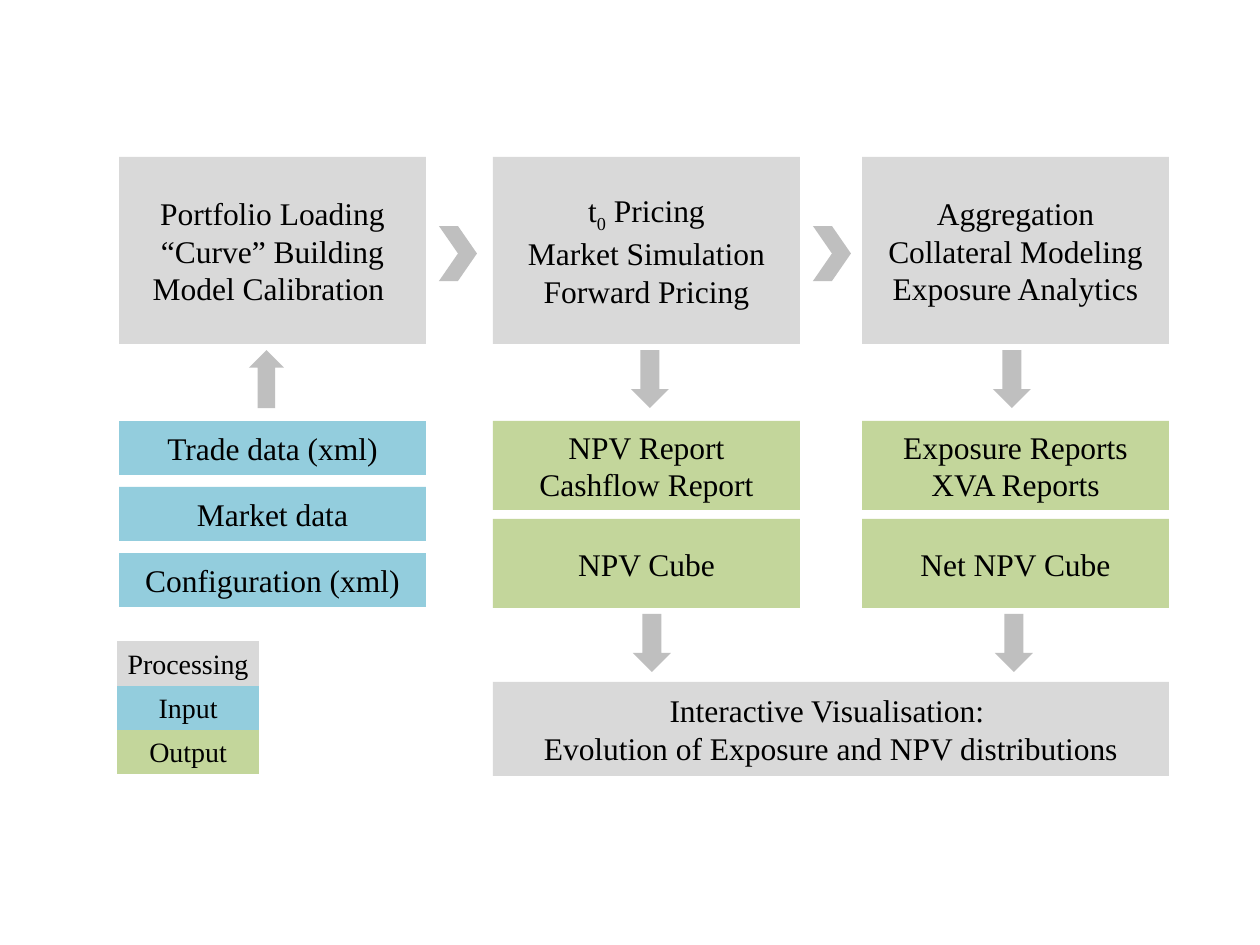
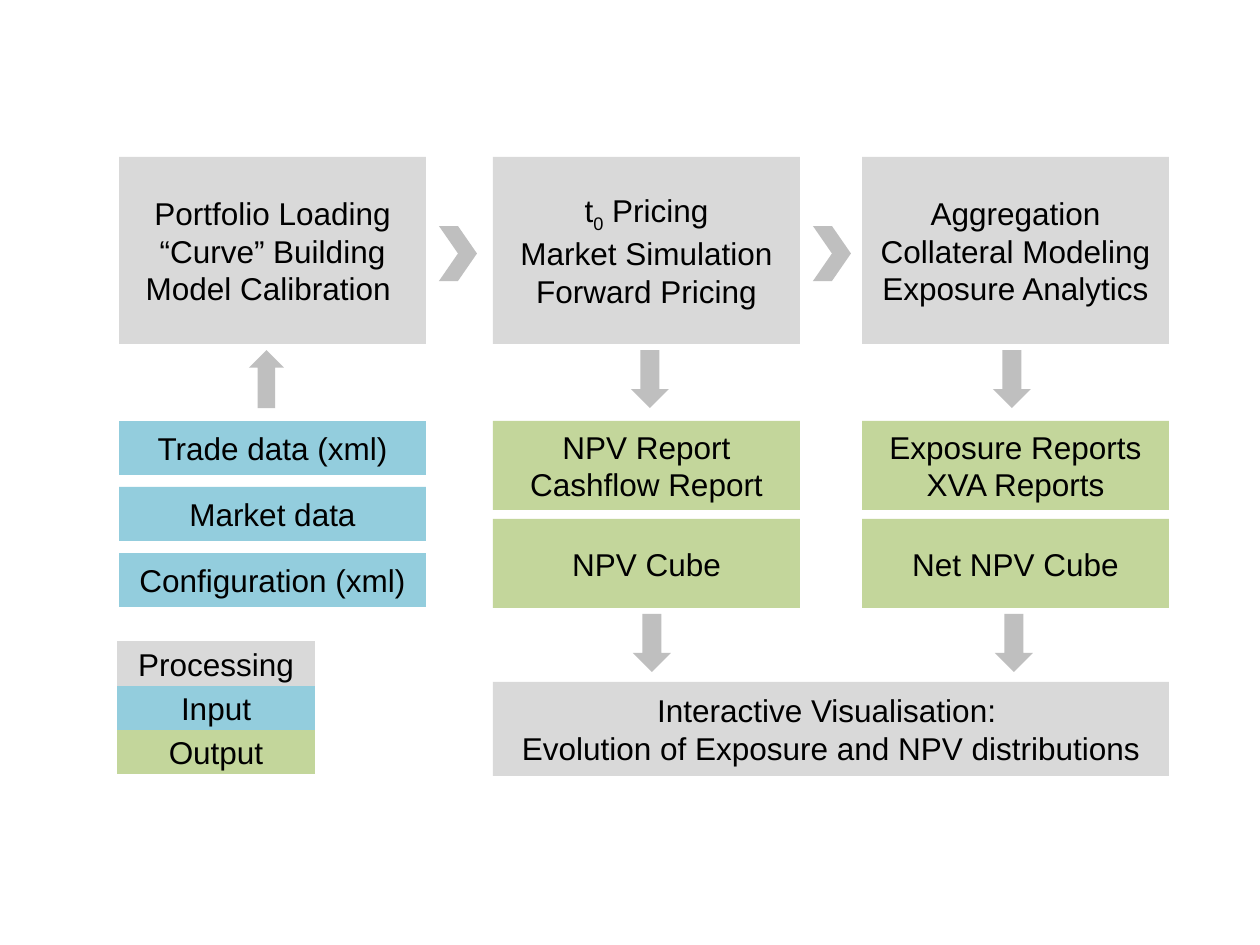
from dataclasses import dataclass

from pptx import Presentation
from pptx.dml.color import RGBColor
from pptx.enum.shapes import MSO_SHAPE
from pptx.enum.text import MSO_ANCHOR, PP_ALIGN
from pptx.util import Inches, Pt

RECTANGLE = MSO_SHAPE.RECTANGLE
CHEVRON = MSO_SHAPE.CHEVRON
UP_ARROW = MSO_SHAPE.UP_ARROW
DOWN_ARROW = MSO_SHAPE.DOWN_ARROW
CENTER = PP_ALIGN.CENTER
MIDDLE = MSO_ANCHOR.MIDDLE
BLANK_LAYOUT = 6
PX_PER_INCH = 126


@dataclass(frozen=True)
class Theme:
    processing: str = "D9D9D9"
    input: str = "93CDDD"
    output: str = "C3D69B"
    arrow: str = "BFBFBF"
    text: str = "000000"
    body_size: int = 18


THEME = Theme()

# Content: a line is a string, or a (base, subscript, rest) tuple
STAGES = [
    ["Portfolio Loading", "“Curve” Building", "Model Calibration "],
    [("t", "0", " Pricing"), "Market Simulation", "Forward Pricing"],
    ["Aggregation", "Collateral Modeling", "Exposure Analytics"],
]
INPUTS = ["Trade data (xml)", "Market data", "Configuration (xml)"]
OUTPUTS = [
    [["NPV Report", "Cashflow Report"], ["NPV Cube"]],
    [["Exposure Reports", "XVA Reports"], ["Net NPV Cube"]],
]
VISUALISATION = ["Interactive Visualisation: ",
                 "Evolution of Exposure and NPV distributions"]
LEGEND = [("Processing", THEME.processing), ("Input", THEME.input),
          ("Output", THEME.output)]
VARIANTS = [
    {"font": "Times New Roman", "legend_size": 16, "legend_width": 142},
    {"font": "Arial", "legend_size": 18, "legend_width": 198},
]

# Layout, in px
COLUMNS = [119, 493, 862]
COLUMN_WIDTH = 307
STAGE_TOP, STAGE_HEIGHT = 157, 187
DATA_TOP = 421
INPUT_HEIGHT, INPUT_PITCH = 54, 66
OUTPUT_HEIGHT, OUTPUT_PITCH = 89, 98
VISUALISATION_TOP, VISUALISATION_HEIGHT = 682, 94
LEGEND_LEFT, LEGEND_TOP = 117, 641
LEGEND_HEIGHT, LEGEND_PITCH = 45, 44
ARROW_WIDTH, ARROW_HEIGHT = 38, 58
UP_ARROW_WIDTH, CHEVRON_HEIGHT = 35, 55
ARROWS = [
    (UP_ARROW, 249, 350, UP_ARROW_WIDTH, ARROW_HEIGHT),
    *[(CHEVRON, left, 226, ARROW_WIDTH, CHEVRON_HEIGHT) for left in (439, 813)],
    *[(DOWN_ARROW, left + shift, top, ARROW_WIDTH, ARROW_HEIGHT)
      for top, shift in ((350, 0), (614, 2)) for left in (631, 993)],
]


def px(length):
    return round(Inches(length / PX_PER_INCH))


def add_filled_shape(slide, kind, left, top, width, height, color):
    shape = slide.shapes.add_shape(kind, px(left), px(top), px(width), px(height))
    shape.shadow.inherit = False
    shape.fill.solid()
    shape.fill.fore_color.rgb = RGBColor.from_string(color)
    shape.line.fill.background()
    return shape


def add_line(paragraph, line, font_name, size):
    paragraph.alignment = CENTER
    paragraph.font.name = font_name
    paragraph.font.size = Pt(size)
    paragraph.font.color.rgb = RGBColor.from_string(THEME.text)
    parts = [line] if isinstance(line, str) else line
    for index, part in enumerate(parts):
        run = paragraph.add_run()
        run.text = part
        if index == 1:
            run._r.get_or_add_rPr().set("baseline", "-25000")


def add_box(slide, left, top, width, height, color, lines, font_name,
            size=THEME.body_size):
    shape = add_filled_shape(slide, RECTANGLE, left, top, width, height, color)
    frame = shape.text_frame
    frame.word_wrap = True
    frame.vertical_anchor = MIDDLE
    frame.margin_left = frame.margin_right = Inches(0.05)
    frame.margin_top = frame.margin_bottom = Inches(0.03)
    for index, line in enumerate(lines):
        paragraph = frame.add_paragraph() if index else frame.paragraphs[0]
        add_line(paragraph, line, font_name, size)


def build_slide(presentation, font, legend_size, legend_width):
    slide = presentation.slides.add_slide(presentation.slide_layouts[BLANK_LAYOUT])

    # Processing stages
    for left, lines in zip(COLUMNS, STAGES):
        add_box(slide, left, STAGE_TOP, COLUMN_WIDTH, STAGE_HEIGHT,
                THEME.processing, lines, font)

    # Inputs under the first stage, outputs under the others
    for row, label in enumerate(INPUTS):
        add_box(slide, COLUMNS[0], DATA_TOP + row * INPUT_PITCH, COLUMN_WIDTH,
                INPUT_HEIGHT, THEME.input, [label], font)
    for left, boxes in zip(COLUMNS[1:], OUTPUTS):
        for row, lines in enumerate(boxes):
            add_box(slide, left, DATA_TOP + row * OUTPUT_PITCH, COLUMN_WIDTH,
                    OUTPUT_HEIGHT, THEME.output, lines, font)

    # Visualisation across the last two columns
    add_box(slide, COLUMNS[1], VISUALISATION_TOP,
            COLUMNS[2] + COLUMN_WIDTH - COLUMNS[1], VISUALISATION_HEIGHT,
            THEME.processing, VISUALISATION, font)

    # Flow arrows
    for kind, left, top, width, height in ARROWS:
        add_filled_shape(slide, kind, left, top, width, height, THEME.arrow)

    # Legend, upper entries in front
    for row, (label, color) in reversed(list(enumerate(LEGEND))):
        add_box(slide, LEGEND_LEFT, LEGEND_TOP + row * LEGEND_PITCH, legend_width,
                LEGEND_HEIGHT, color, [label], font, legend_size)


def main():
    presentation = Presentation()
    presentation.slide_width = Inches(10)
    presentation.slide_height = Inches(7.5)
    for variant in VARIANTS:
        build_slide(presentation, **variant)
    presentation.save("out.pptx")


if __name__ == "__main__":
    main()
